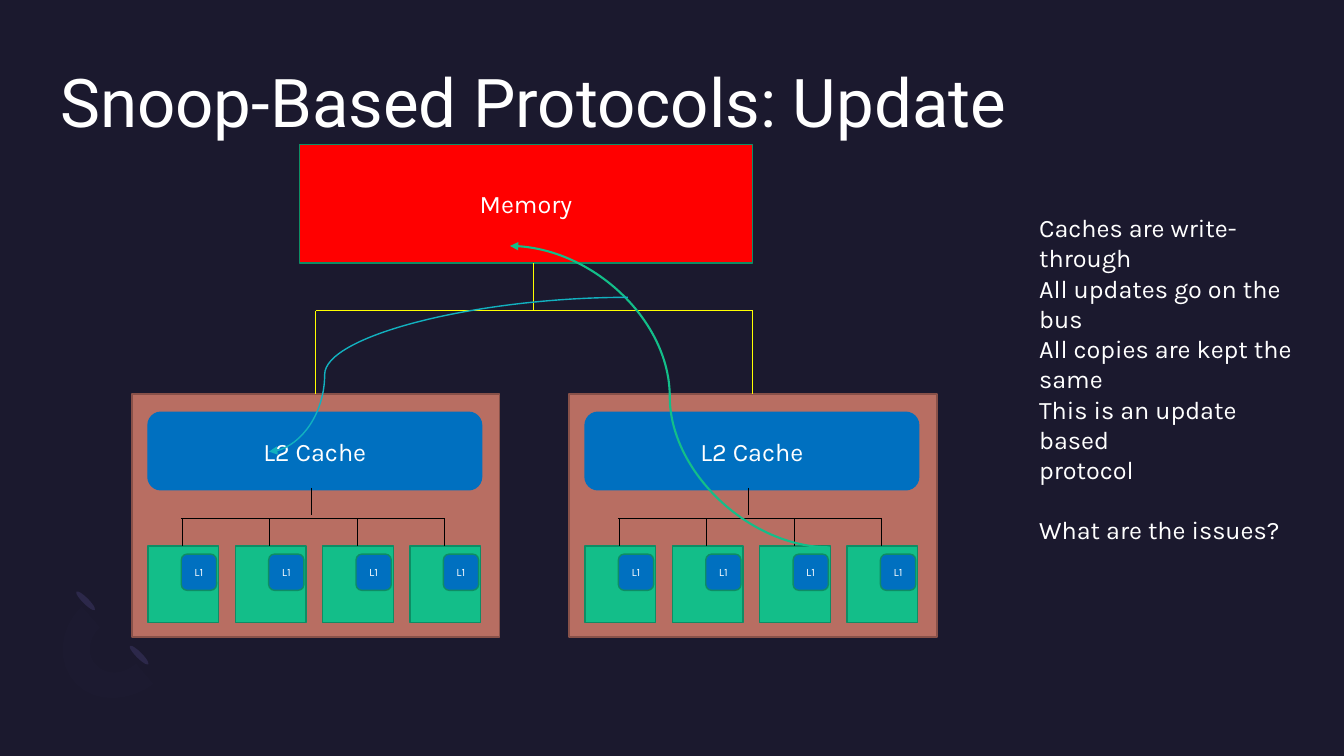
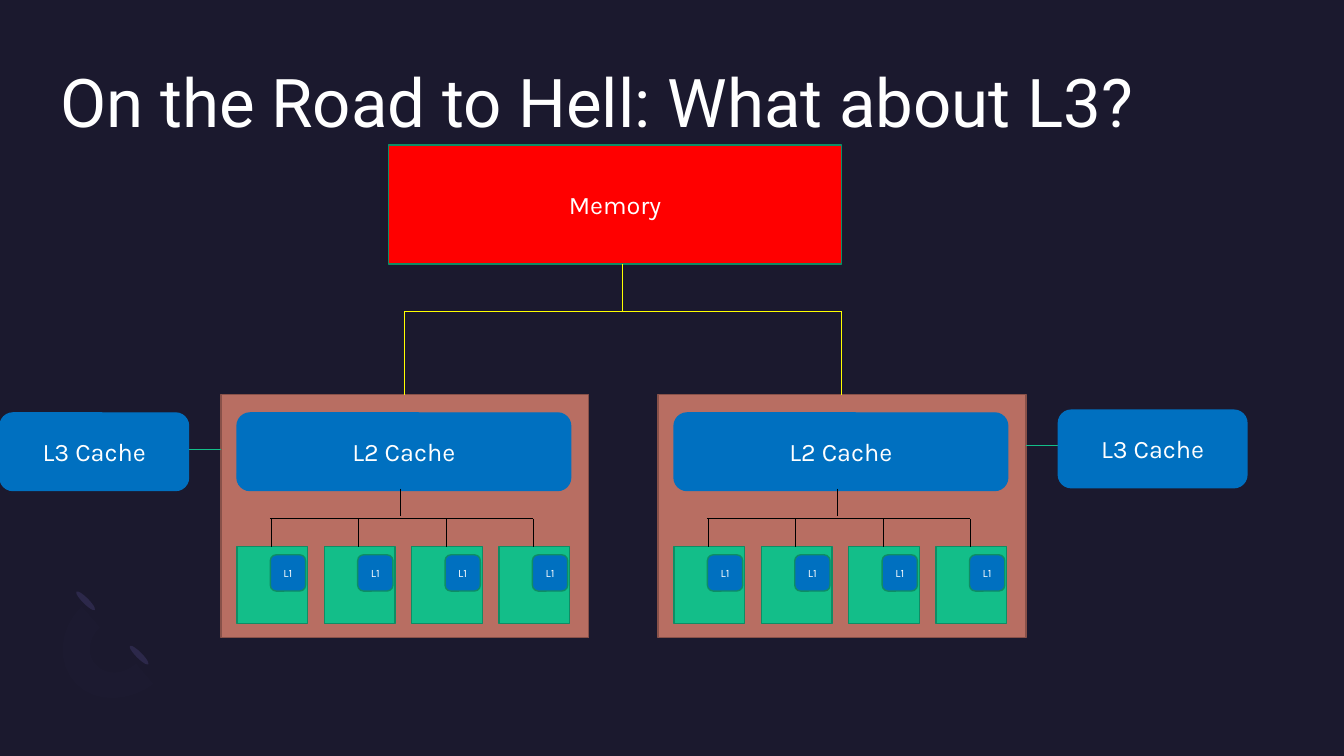
from dataclasses import dataclass

from lxml import etree
from pptx import Presentation
from pptx.dml.color import RGBColor
from pptx.enum import shapes, text
from pptx.oxml import ns
from pptx.util import Pt


@dataclass(frozen=True)
class Theme:
    background: str = "1B192E"
    ink: str = "FFFFFF"
    dash: str = "2C284A"
    arc: str = "7771B2"
    memory: str = "FF0000"
    socket: str = "B86E62"
    socket_edge: str = "885149"
    cache: str = "0070C0"
    core: str = "13BE89"
    core_edge: str = "0E8D65"
    bus: str = "FFFF00"
    wire: str = "000000"
    update: str = "12B1BF"
    title_font: str = "Roboto"
    body_font: str = "Karla"
    title_size: int = 48
    body_size: int = 18
    small_size: int = 8


THEME = Theme()
RECT, ROUND, OVAL = (shapes.MSO_SHAPE.RECTANGLE, shapes.MSO_SHAPE.ROUNDED_RECTANGLE,
                     shapes.MSO_SHAPE.OVAL)

# Machine geometry, relative to its left and top
MACHINE_TOP = 103
SOCKET_TOP, SOCKET_W, SOCKET_H, SOCKET_PITCH = 178.5, 262.8, 173.5, 312.2
CACHE_H = 55.4
CORE_W, CORE_H, CORE_PITCH = 50.4, 54.7, 62.4
PAD = 11.5


def child(parent, tag, **attributes):
    return etree.SubElement(parent, ns.qn(tag), attributes)


def paint(shape, fill, edge=None):
    shape.shadow.inherit = False
    shape.fill.solid()
    shape.fill.fore_color.rgb = RGBColor.from_string(fill)
    if edge:
        shape.line.color.rgb = RGBColor.from_string(edge)
        shape.line.width = Pt(1)
    else:
        shape.line.fill.background()


def write(shape, lines, size=THEME.body_size, font=THEME.body_font, inset=(0, 0),
          align=text.PP_ALIGN.LEFT, anchor=text.MSO_ANCHOR.TOP, wrap=True):
    """Fill a shape with one paragraph per line and return the paragraphs."""
    frame = shape.text_frame
    frame.word_wrap = wrap
    frame.vertical_anchor = anchor
    frame.margin_left = frame.margin_right = Pt(inset[0])
    frame.margin_top = frame.margin_bottom = Pt(inset[1])
    frame.text = "\n".join(lines)
    for paragraph in frame.paragraphs:
        paragraph.alignment = align
        for run in paragraph.runs:
            run.font.size = Pt(size)
            run.font.name = font
            run.font.color.rgb = RGBColor.from_string(THEME.ink)
    return frame.paragraphs


def text_box(slide, box, lines, **style):
    return write(slide.shapes.add_textbox(*map(Pt, box)), lines, **style)


def block(slide, kind, box, fill, edge=None, label=None, size=THEME.body_size):
    shape = slide.shapes.add_shape(kind, *map(Pt, box))
    paint(shape, fill, edge)
    if label:
        write(shape, [label], size=size, align=text.PP_ALIGN.CENTER,
              anchor=text.MSO_ANCHOR.MIDDLE)
    return shape


def cache(slide, box, label):
    block(slide, ROUND, box, THEME.cache, THEME.cache, label)


def wire(slide, start, end, color, width=0.5, kind=shapes.MSO_CONNECTOR.STRAIGHT):
    link = slide.shapes.add_connector(kind, *map(Pt, (*start, *end)))
    link.line.color.rgb = RGBColor.from_string(color)
    link.line.width = Pt(width)
    child(link._element.spPr, "a:effectLst")
    return link


def curved_arrow(slide, start, end, color, width, bend=0.5):
    link = wire(slide, start, end, color, width, shapes.MSO_CONNECTOR.CURVE)
    child(link.line._get_or_add_ln(), "a:tailEnd", type="triangle")
    geometry = link._element.spPr.find(ns.qn("a:prstGeom"))
    guides = geometry.find(ns.qn("a:avLst"))
    if guides is None:
        guides = child(geometry, "a:avLst")
    child(guides, "a:gd", name="adj1", fmla=f"val {round(bend * 100000)}")


def bezier(points, steps=8):
    """Points along a cubic curve, after its first point."""
    for step in range(1, steps + 1):
        t = step / steps
        weights = ((1 - t) ** 3, 3 * t * (1 - t) ** 2, 3 * t * t * (1 - t), t ** 3)
        yield tuple(sum(w * p[axis] for w, p in zip(weights, points)) for axis in (0, 1))


def ornament(slide, left, top):
    """Two slanted dashes joined by a faint arc."""
    for dx, dy in ((56.9, 56.9), (18.7, 18.1)):
        block(slide, OVAL, (left + dx, top + dy, 4.3, 18.7), THEME.dash).rotation = 135
    outer_a = [(69.1, 86.9), (54.7, 72.5), (40.3, 58.1), (41.8, 33.6)]
    outer_b = [outer_a[0], (53.3, 99.1), (28.1, 101.2), (14.4, 86.9)]
    inner_a = [(31, 46.4), (22.3, 54.4), (21.6, 67.3), (28.8, 73.8)]
    inner_b = [inner_a[-1], (36, 81), (48.2, 80.3), (56.9, 72.4)]
    outer = [(14.4, 86.9), (0, 72.5), (1.4, 48), (18, 31.5)]
    outline = [*bezier(outer), inner_a[0], *bezier(inner_a), *bezier(inner_b),
               outer_a[0], *bezier(outer_b)]
    spots = [(Pt(left + x), Pt(top + y)) for x, y in outline]
    builder = slide.shapes.build_freeform(*spots[0], scale=1.0)
    builder.add_line_segments(spots[1:], close=True)
    arc = builder.convert_to_shape()
    paint(arc, THEME.arc)
    color = arc._element.spPr.find(ns.qn("a:solidFill"))[0]
    child(color, "a:alpha", val="2000")


def base_slide(deck, title):
    slide = deck.slides.add_slide(deck.slide_layouts[6])
    slide.background.fill.solid()
    slide.background.fill.fore_color.rgb = RGBColor.from_string(THEME.background)
    ornament(slide, 40.3, 401.7)
    text_box(slide, (43.2, 43.2, 873.4, 105), [title],
             size=THEME.title_size, font=THEME.title_font)
    return slide


def core(slide, left, top):
    block(slide, RECT, (left, top, CORE_W, CORE_H), THEME.core, THEME.core_edge)
    block(slide, ROUND, (left + 23.8, top + 5.8, 25.2, 25.9), THEME.cache,
          THEME.core_edge, "L1", THEME.small_size)


def socket(slide, left, top):
    """A processor: its L2 cache above four wired cores."""
    block(slide, RECT, (left, top, SOCKET_W, SOCKET_H), THEME.socket, THEME.socket_edge)
    cache(slide, (left + PAD, top + 13, SOCKET_W - 2 * PAD - 1.5, CACHE_H), "L2 Cache")
    rail, core_top = top + 88.6, top + 108.5
    core_lefts = [left + PAD + i * CORE_PITCH for i in range(4)]
    drops = [x + 24.5 for x in core_lefts]
    for x, drop in zip(core_lefts, drops):
        core(slide, x, core_top)
        wire(slide, (drop, rail), (drop, core_top), THEME.wire)
    wire(slide, (drops[0] - 1, rail), (drops[-1], rail), THEME.wire)
    stem = left + 128.2
    wire(slide, (stem, top + 67), (stem, rail - 2), THEME.wire)


def machine(slide, left, top):
    """Memory on a bus with two sockets."""
    bus, socket_top = top + 119, top + SOCKET_TOP
    ends = [left + 131.2 + i * SOCKET_PITCH for i in range(2)]
    for i, end in enumerate(ends):
        socket(slide, left + i * SOCKET_PITCH, socket_top)
        wire(slide, (end, bus), (end, socket_top), THEME.bus)
    wire(slide, (ends[0], bus), (ends[1], bus), THEME.bus)
    block(slide, RECT, (left + 119.8, top, 323.5, 85), THEME.memory,
          THEME.core_edge, "Memory")
    wire(slide, (left + 286.7, top + 85), (left + 286.7, bus), THEME.bus)


def update_slide(deck):
    slide = base_slide(deck, "Snoop-Based Protocols: Update")
    machine(slide, 94.2, MACHINE_TOP)
    notes = text_box(slide, (735.2, 148.3, 205.9, 225.4), [
        "Caches are write-through",
        "All updates go on the bus",
        "All copies are kept the",
        "same",
        "This is an update based",
        "protocol",
        "What are the issues?",
    ], inset=(7.2, 3.6))
    notes[-1].space_before = Pt(21.5)
    # Write-through to memory, then the update of the other cache
    curved_arrow(slide, (592.6, 391), (364.3, 175.7), THEME.core, 1.5)
    curved_arrow(slide, (448.6, 212.4), (192.2, 322.6), THEME.update, 1, bend=0.845)


def l3_slide(deck):
    slide = base_slide(deck, "On the Road to Hell: What about L3?")
    left, width = 157.8, 134.7
    machine(slide, left, MACHINE_TOP + 0.5)
    right = left + SOCKET_PITCH + SOCKET_W
    # Outer caches: box left, box top, wire start, wire end, wire height
    for x, y, start, end, level in ((0, 295, width, left, 321),
                                    (756, 293, right, 756, 318.2)):
        wire(slide, (start, level), (end, level), THEME.core)
        cache(slide, (x, y, width, CACHE_H), "L3 Cache")


def main():
    deck = Presentation()
    deck.slide_width, deck.slide_height = Pt(960), Pt(540)
    update_slide(deck)
    l3_slide(deck)
    deck.save("out.pptx")


if __name__ == "__main__":
    main()
